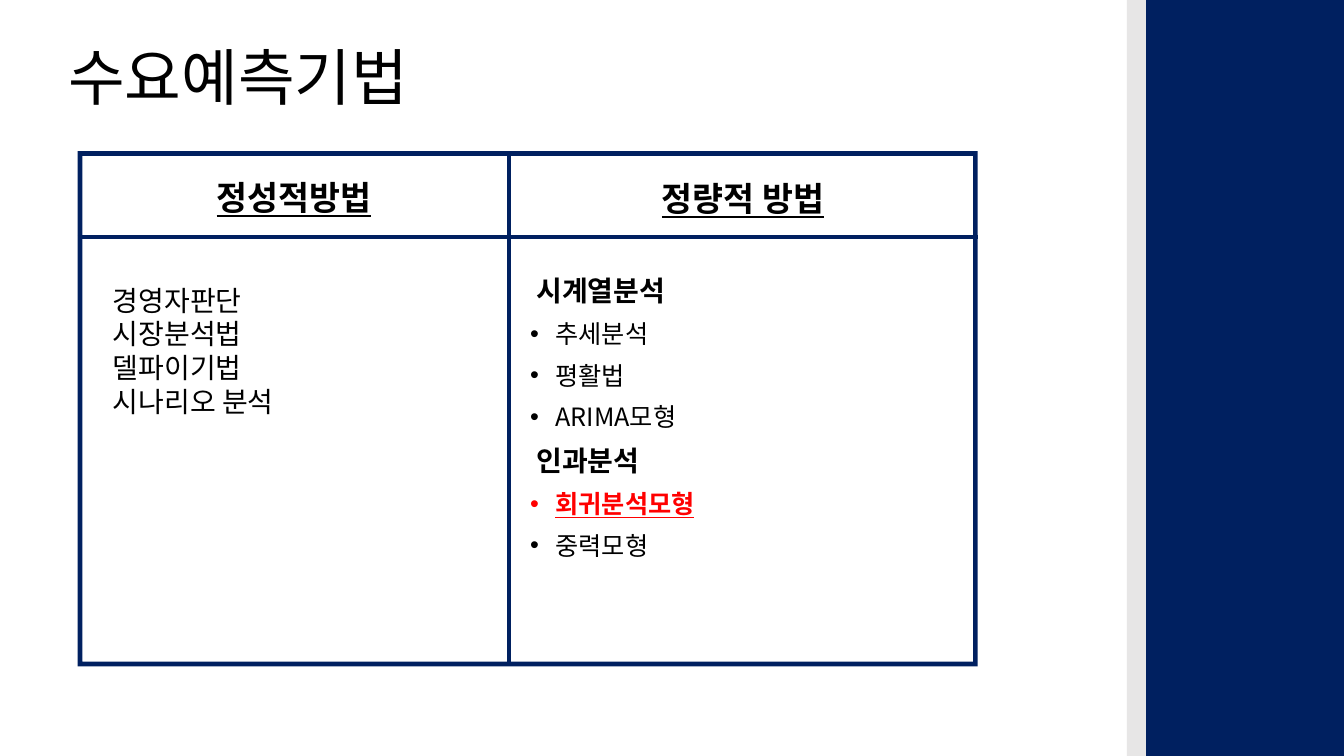
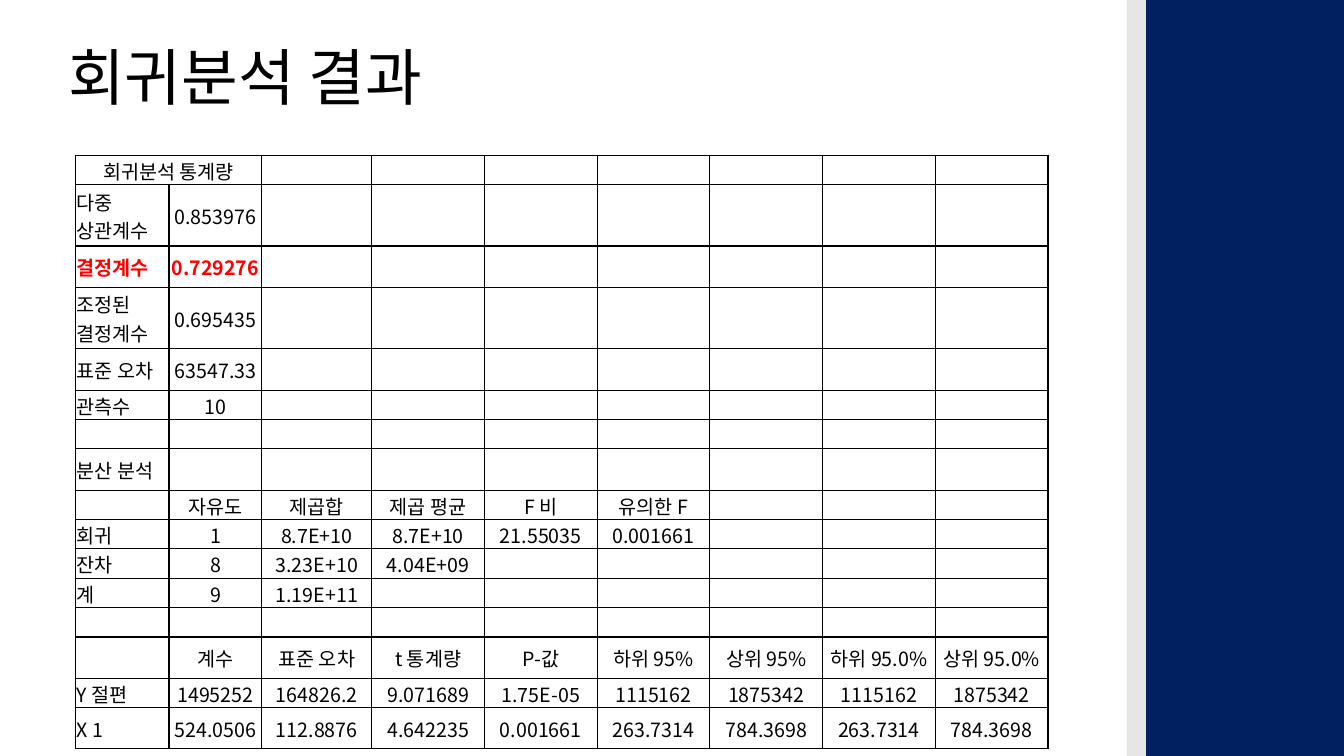
"""Build two slides on demand forecasting and regression results."""
from lxml.etree import SubElement
from pptx import Presentation
from pptx.dml.color import RGBColor as RGB
from pptx.enum.shapes import MSO_CONNECTOR as Link, MSO_SHAPE as Kind
from pptx.enum.text import MSO_ANCHOR as Anchor, PP_ALIGN as Align
from pptx.oxml.ns import qn
from pptx.util import Cm, Pt

NAVY = RGB(0x00, 0x20, 0x60)
GRAY = RGB(0xE7, 0xE6, 0xE6)
WHITE = RGB(0xFF, 0xFF, 0xFF)
BLACK = RGB(0x00, 0x00, 0x00)
RED = RGB(0xFF, 0x00, 0x00)
FONT = "Noto Sans CJK KR"
WIDE, HIGH = 33.87, 19.05
LEFT, TOP, SPAN, TALL = 1.96, 3.81, 22.68, 12.98
MID, RULE = 12.83, 5.97

COLS = [2.36, 2.34, 2.77] + [2.84] * 6
LOW, FAIR, BIG = 0.74, 1.04, 1.55
ROWS = [
    (LOW, ["회귀분석 통계량"]),
    (BIG, ["다중 상관계수", "0.853976"]),
    (FAIR, ["결정계수", "0.729276"]),
    (BIG, ["조정된 결정계수", "0.695435"]),
    (FAIR, ["표준 오차", "63547.33"]),
    (LOW, ["관측수", "10"]),
    (LOW, []),
    (FAIR, ["분산 분석"]),
    (LOW, ["", "자유도", "제곱합", "제곱 평균", "F 비", "유의한 F"]),
    (LOW, ["회귀", "1", "8.7E+10", "8.7E+10", "21.55035", "0.001661"]),
    (LOW, ["잔차", "8", "3.23E+10", "4.04E+09"]),
    (LOW, ["계", "9", "1.19E+11"]),
    (LOW, []),
    (FAIR, ["", "계수", "표준 오차", "t 통계량", "P-값", "하위 95%",
            "상위 95%", "하위 95.0%", "상위 95.0%"]),
    (LOW, ["Y 절편", "1495252", "164826.2", "9.071689", "1.75E-05",
           "1115162", "1875342", "1115162", "1875342"]),
    (FAIR, ["X 1", "524.0506", "112.8876", "4.642235", "0.001661",
            "263.7314", "784.3698", "263.7314", "784.3698"]),
]
KEY = 2


def write(frame, text, size=18, color=BLACK, bold=False, line=False,
          align=Align.LEFT, lead=None, before=0, indent=0, mark=False):
    """Add one formatted paragraph to a text frame."""
    para = frame.add_paragraph() if frame.text else frame.paragraphs[0]
    para.alignment = align
    if lead:
        para.line_spacing = Pt(round(size * lead, 1))
    if before:
        para.space_before = Pt(before)
    props = para._p.get_or_add_pPr()
    if indent:
        props.set("marL", str(Cm(indent)))
    if mark:
        props.set("indent", str(-Cm(indent)))
        SubElement(props, qn("a:buFont"), typeface="Arial")
        SubElement(props, qn("a:buChar"), char="•")
    run = para.add_run()
    run.text = text
    font = run.font
    font.size, font.bold, font.underline = Pt(size), bold, line
    font.color.rgb = color
    font.name = FONT
    SubElement(run._r.get_or_add_rPr(), qn("a:ea"), typeface=FONT)


def add_box(slide, x, y, w, h):
    """Add a wrapping text box and return its frame."""
    frame = slide.shapes.add_textbox(Cm(x), Cm(y), Cm(w), Cm(h)).text_frame
    frame.word_wrap = True
    return frame


def add_form(slide, kind, x, y, w, h, color):
    """Add a flat filled shape without an outline."""
    form = slide.shapes.add_shape(kind, Cm(x), Cm(y), Cm(w), Cm(h))
    form.shadow.inherit = False
    form.fill.solid()
    form.fill.fore_color.rgb = color
    form.line.fill.background()
    return form


def add_rule(slide, x, y, end, foot):
    """Add a straight navy line."""
    rule = slide.shapes.add_connector(
        Link.STRAIGHT, Cm(x), Cm(y), Cm(end), Cm(foot))
    rule.line.color.rgb = NAVY
    rule.line.width = Pt(3)
    SubElement(rule._element.spPr, qn("a:effectLst"))


def add_page(deck, title):
    """Add a slide with the side bands and its title."""
    slide = deck.slides.add_slide(deck.slide_layouts[6])
    add_form(slide, Kind.RECTANGLE, 28.88, 0, WIDE - 28.88, HIGH, NAVY)
    add_form(slide, Kind.RECTANGLE, 28.4, 0, 0.48, HIGH, GRAY)
    write(add_box(slide, 1.47, 1.02, 17.2, 2.2), title, size=44, lead=1.1)
    return slide


def edge(cell):
    """Draw thin black borders around a cell."""
    props = cell._tc.get_or_add_tcPr()
    for spot, side in enumerate(("lnL", "lnR", "lnT", "lnB")):
        line = SubElement(props, qn("a:" + side), w=str(Pt(1)))
        fill = SubElement(line, qn("a:solidFill"))
        SubElement(fill, qn("a:srgbClr"), val=str(BLACK))
        props.insert(spot, line)


def fill_cell(cell, text, **form):
    """Format one cell and write its text."""
    cell.fill.solid()
    cell.fill.fore_color.rgb = WHITE
    cell.vertical_anchor = Anchor.MIDDLE
    cell.margin_left = cell.margin_right = cell.margin_top = Cm(0.03)
    cell.margin_bottom = 0
    edge(cell)
    if text:
        write(cell.text_frame, text, size=14, **form)
    else:
        para = cell.text_frame.paragraphs[0]
        SubElement(para._p, qn("a:endParaRPr"), sz="1400")


def add_grid(slide, x, y):
    """Add the table of regression results."""
    high = sum(size for size, _ in ROWS)
    grid = slide.shapes.add_table(
        len(ROWS), len(COLS), Cm(x), Cm(y), Cm(sum(COLS)), Cm(high)).table
    grid.first_row = grid.horz_banding = False
    for col, size in zip(grid.columns, COLS):
        col.width = Cm(size)
    for row, (size, words) in enumerate(ROWS):
        grid.rows[row].height = Cm(size)
        for col in range(len(COLS)):
            text = words[col] if col < len(words) else ""
            fill_cell(grid.cell(row, col), text, bold=row == KEY,
                      color=RED if row == KEY else BLACK,
                      align=Align.CENTER if col or not row else Align.LEFT)
    grid.cell(0, 0).merge(grid.cell(0, 1))


def add_methods(slide):
    """Add the framed two-column list of methods."""
    frame = add_form(slide, Kind.FRAME, LEFT, TOP, SPAN, TALL, NAVY)
    frame.adjustments[0] = 0.009
    head = dict(size=24, bold=True, line=True, align=Align.CENTER)

    left = add_box(slide, 2.59, 4.32, 9.63, 7.09)
    write(left, "정성적방법", lead=1.22, **head)
    names = ["경영자판단", "시장분석법", "델파이기법", "시나리오 분석"]
    for spot, name in enumerate(names):
        write(left, name, size=20, lead=1.2, before=0 if spot else 47)

    right = add_box(slide, 13.11, 4.45, 11.23, 12.37)
    write(right, "정량적 방법", lead=1.1, **head)
    groups = [("시계열분석", 41, ["추세분석", "평활법", "ARIMA모형"]),
              ("인과분석", 10, ["회귀분석모형", "중력모형"])]
    for group, gap, items in groups:
        write(right, group, size=20, bold=True, lead=1.1, before=gap,
              indent=0.16)
        for item in items:
            key = item == "회귀분석모형"
            write(right, item, color=RED if key else BLACK, bold=key,
                  line=key, lead=1.1, before=10, indent=0.64, mark=True)

    add_rule(slide, MID, TOP, MID, TOP + TALL)
    add_rule(slide, LEFT, RULE, LEFT + SPAN, RULE)


def main():
    """Build and save the deck."""
    deck = Presentation()
    deck.slide_width, deck.slide_height = Cm(WIDE), Cm(HIGH)
    add_methods(add_page(deck, "수요예측기법"))
    add_grid(add_page(deck, "회귀분석 결과"), 1.9, 3.91)
    deck.save("out.pptx")


if __name__ == "__main__":
    main()
